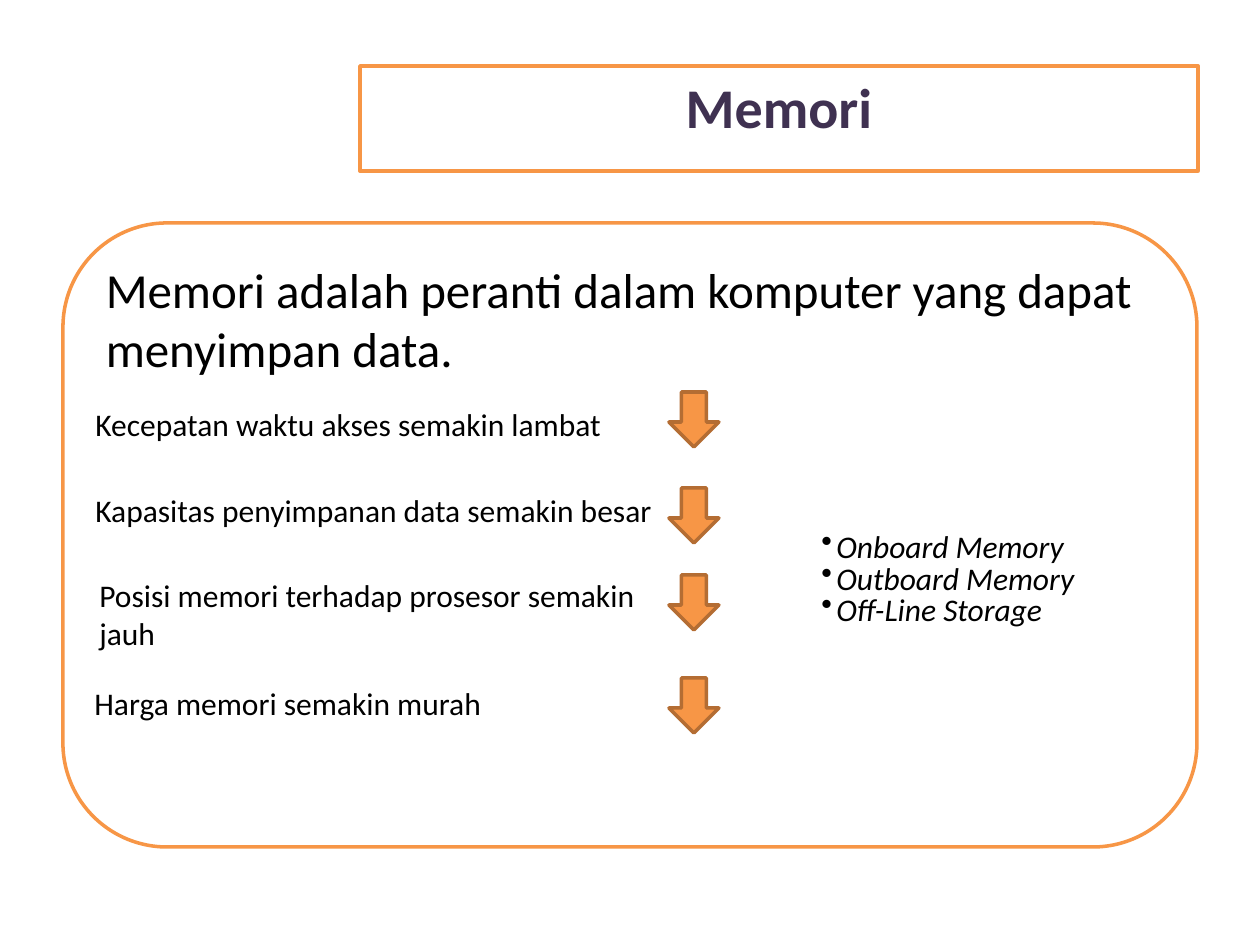
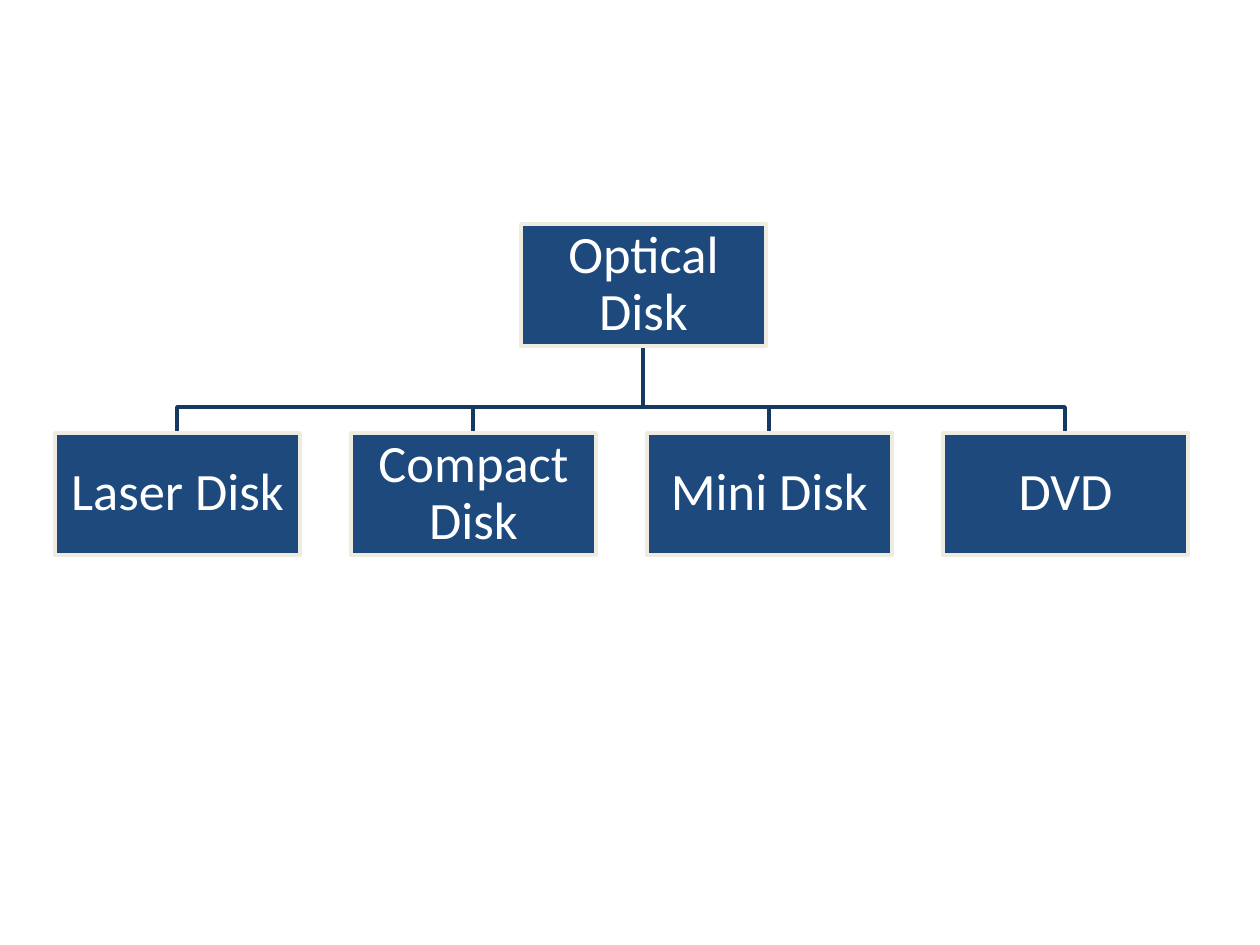
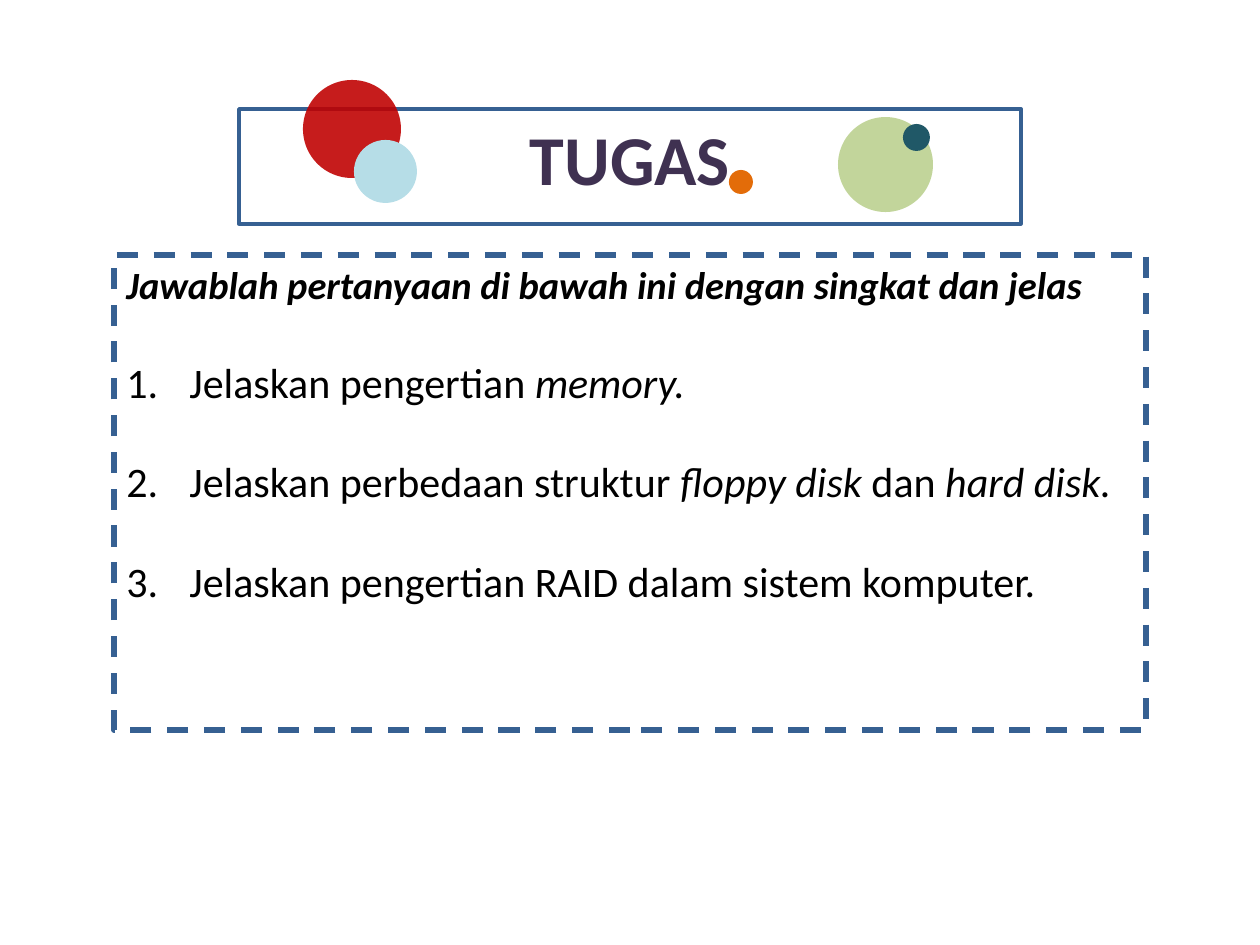
from pptx import Presentation
from pptx.dml.color import RGBColor
from pptx.enum.dml import MSO_LINE
from pptx.enum.shapes import MSO_SHAPE
from pptx.enum.text import MSO_ANCHOR, PP_ALIGN
from pptx.oxml.xmlchemy import OxmlElement
from pptx.util import Inches, Pt

SCALE = 7257
FONT = "Calibri"
WHITE = RGBColor(0xFF, 0xFF, 0xFF)
BLACK = RGBColor(0x00, 0x00, 0x00)
PURPLE = RGBColor(0x3F, 0x31, 0x51)
ORANGE = RGBColor(0xF7, 0x96, 0x46)
BROWN = RGBColor(0xB4, 0x6D, 0x33)
BLUE = RGBColor(0x36, 0x60, 0x92)
NAVY = RGBColor(0x1D, 0x49, 0x7D)
DARK_NAVY = RGBColor(0x15, 0x39, 0x63)
CREAM = RGBColor(0xEE, 0xEC, 0xE0)
RED = RGBColor(0xC0, 0x00, 0x00)
PALE_BLUE = RGBColor(0xB6, 0xDD, 0xE7)
GREEN = RGBColor(0xC2, 0xD5, 0x9B)
TEAL = RGBColor(0x20, 0x58, 0x67)
DARK_ORANGE = RGBColor(0xE3, 0x6C, 0x09)
RECTANGLE = MSO_SHAPE.RECTANGLE
ROUNDED = MSO_SHAPE.ROUNDED_RECTANGLE
DOWN_ARROW = MSO_SHAPE.DOWN_ARROW
OVAL = MSO_SHAPE.OVAL
DASH = MSO_LINE.DASH
TOP = MSO_ANCHOR.TOP
MIDDLE = MSO_ANCHOR.MIDDLE
LEFT = PP_ALIGN.LEFT
CENTER = PP_ALIGN.CENTER


def add_box(page, kind, bounds, fill=WHITE, outline=None, width=2):
    place = [length * SCALE for length in bounds]
    if kind is None:
        box = page.shapes.add_textbox(*place)
    else:
        box = page.shapes.add_shape(kind, *place)
        box.shadow.inherit = False
        box.fill.solid()
        box.fill.fore_color.rgb = fill
        if outline is None:
            box.line.fill.background()
        else:
            box.line.color.rgb = outline
            box.line.width = Pt(width)
    box.text_frame.word_wrap = True
    box.text_frame.vertical_anchor = TOP
    return box


def write(box, spans, size, color=BLACK, bold=None, italic=None, align=LEFT,
          marker=None, indent=0):
    frame = box.text_frame
    para = frame.paragraphs[0]
    if para.runs:
        para = frame.add_paragraph()
    para.alignment = align
    para.font.name = FONT
    para.font.size = Pt(size)
    para.font.color.rgb = color
    para.font.bold = bold
    para.font.italic = italic
    for position, words in enumerate(spans):
        span = para.add_run()
        span.text = words
        if len(spans) > 1:
            span.font.italic = position % 2 == 1
    if marker:
        properties = para._p.get_or_add_pPr()
        properties.set("marL", str(indent * SCALE))
        properties.set("indent", str(-indent * SCALE))
        tag, key, value = marker
        bullet = OxmlElement(tag)
        bullet.set(key, value)
        properties.insert_element_before(bullet, "a:defRPr")
    return para


deck = Presentation()
deck.slide_width = Inches(10)
deck.slide_height = Inches(7.5)
blank = deck.slide_layouts[6]

page = deck.slides.add_slide(blank)
panel = add_box(page, ROUNDED, (63, 223, 1134, 624), WHITE, ORANGE)
write(panel, ["Memori adalah peranti dalam komputer yang dapat menyimpan data."], 28)

kinds = add_box(page, None, (809, 376, 368, 411))
kinds.text_frame.vertical_anchor = MIDDLE
for name in ("Onboard Memory", "Outboard Memory", "Off-Line Storage"):
    para = write(kinds, [name], 18, italic=True,
                 marker=("a:buChar", "char", "•"), indent=15)
    para.line_spacing = 0.75
    para.space_before = Pt(1.8)

title = add_box(page, RECTANGLE, (360, 66, 838, 105), WHITE, ORANGE)
write(title, ["Memori"], 32, PURPLE, bold=True, align=CENTER)

trends = [
    (83, 399, 537, 392, ["Kecepatan waktu akses semakin lambat"]),
    (83, 485, 587, 488, ["Kapasitas penyimpanan data semakin besar"]),
    (87, 570, 566, 575, ["Posisi memori terhadap prosesor semakin", "jauh"]),
    (82, 678, 417, 678, ["Harga memori semakin murah"]),
]
for left, top, width, arrow_top, lines in trends:
    add_box(page, DOWN_ARROW, (669, arrow_top, 50, 55), ORANGE, BROWN)
    label = add_box(page, None, (left, top, width, 50 * len(lines)))
    for line in lines:
        write(label, [line], 18)

page = deck.slides.add_slide(blank)
node_width, node_height = 245, 122
root_left, root_top = 521, 224
child_left, child_top, child_step = 55, 433, 296
bus_y = 407
root_x = root_left + node_width // 2
root_bottom = root_top + node_height
nodes = [("Optical Disk", root_left, root_top)]
for column, name in enumerate(("Laser Disk", "Compact Disk", "Mini Disk", "DVD")):
    left = child_left + column * child_step
    child_x = left + node_width // 2
    nodes.append((name, left, child_top))
    builder = page.shapes.build_freeform(root_x, root_bottom, scale=SCALE)
    builder.add_line_segments(
        [(root_x, bus_y), (child_x, bus_y), (child_x, child_top)], close=False)
    branch = builder.convert_to_shape()
    branch.shadow.inherit = False
    branch.fill.background()
    branch.line.color.rgb = DARK_NAVY
    branch.line.width = Pt(2)
for name, left, top in nodes:
    node = add_box(page, RECTANGLE, (left, top, node_width, node_height), NAVY, CREAM)
    frame = node.text_frame
    frame.vertical_anchor = MIDDLE
    frame.margin_left = frame.margin_right = Inches(0.02)
    frame.margin_top = frame.margin_bottom = Inches(0.02)
    para = write(node, [name], 30, WHITE, align=CENTER)
    para.line_spacing = 0.9

page = deck.slides.add_slide(blank)
task = add_box(page, RECTANGLE, (114, 255, 1032, 475), WHITE, BLUE, 3)
task.line.dash_style = DASH
write(task, ["Jawablah pertanyaan di bawah ini dengan singkat dan jelas"], 22,
      bold=True, italic=True)
questions = [
    ["Jelaskan pengertian ", "memory."],
    ["Jelaskan perbedaan struktur ", "floppy disk ", "dan ", "hard disk."],
    ["Jelaskan pengertian RAID dalam sistem komputer."],
]
for spans in questions:
    para = write(task, spans, 24, marker=("a:buAutoNum", "type", "arabicPeriod"),
                 indent=63)
    para.space_before = Pt(28)

title = add_box(page, RECTANGLE, (239, 109, 782, 115), WHITE, BLUE)
write(title, ["TUGAS"], 40, PURPLE, bold=True, align=CENTER)

circles = [
    (303, 80, 98, RED),
    (354, 140, 63, PALE_BLUE),
    (838, 117, 95, GREEN),
    (903, 124, 27, TEAL),
    (729, 170, 24, DARK_ORANGE),
]
for left, top, size, color in circles:
    circle = add_box(page, OVAL, (left, top, size, size), color)
    if color == RED:
        alpha = OxmlElement("a:alpha")
        alpha.set("val", "89000")
        circle.fill._xPr.find(".//{*}srgbClr").append(alpha)

deck.save("out.pptx")
